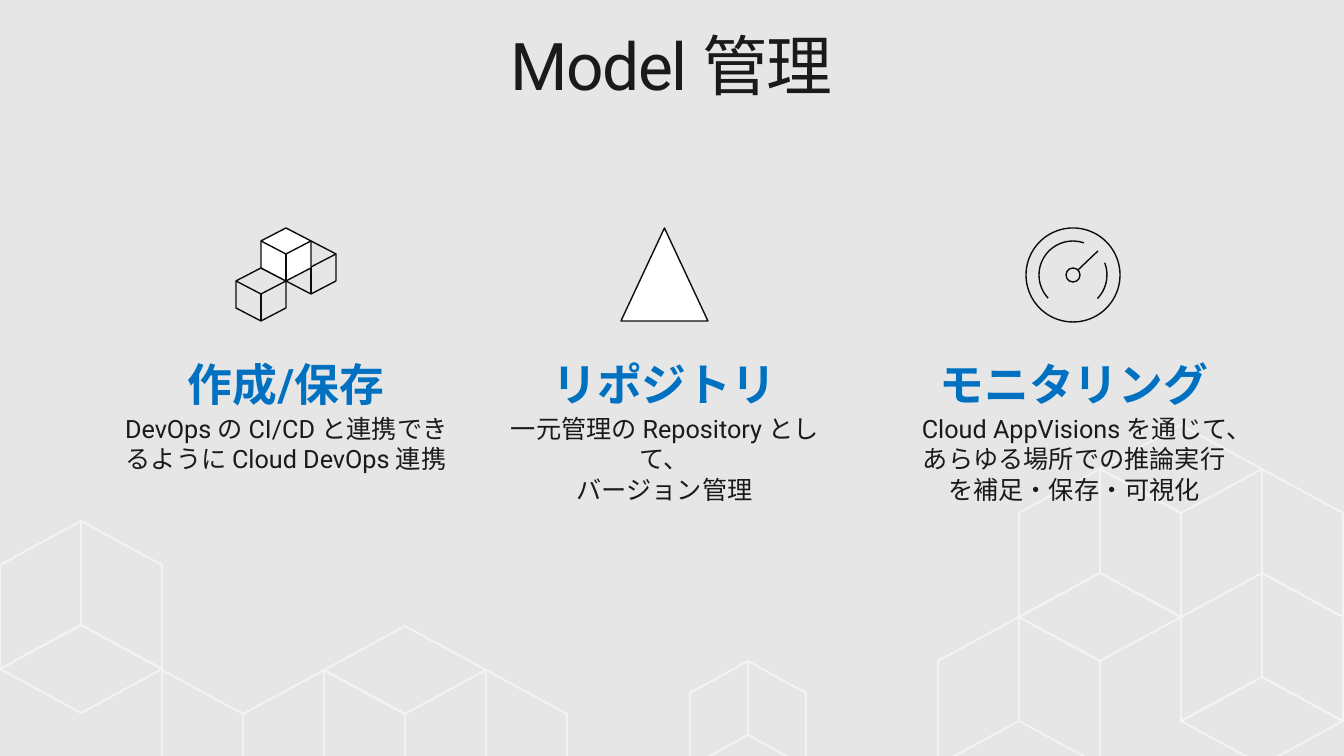
"""Build the model management slide with three features over a cube lattice."""
from pptx import Presentation
from pptx.dml.color import RGBColor
from pptx.enum.shapes import MSO_CONNECTOR, MSO_SHAPE
from pptx.enum.text import MSO_ANCHOR, MSO_AUTO_SIZE, PP_ALIGN
from pptx.oxml.ns import qn
from pptx.util import Pt
from lxml import etree

PX = 914400 / 100.8
BACKGROUND = RGBColor(0xE6, 0xE6, 0xE6)
LATTICE = RGBColor(0xF3, 0xF3, 0xF3)
INK = RGBColor(0x1A, 0x1A, 0x1A)
ICON = RGBColor(0x0D, 0x0D, 0x0D)
BLUE = RGBColor(0x00, 0x70, 0xC0)
WHITE = RGBColor(0xFF, 0xFF, 0xFF)
STRAIGHT = MSO_CONNECTOR.STRAIGHT
OVAL, ARC, TRIANGLE = MSO_SHAPE.OVAL, MSO_SHAPE.ARC, MSO_SHAPE.ISOSCELES_TRIANGLE
CENTER, MIDDLE = PP_ALIGN.CENTER, MSO_ANCHOR.MIDDLE
NO_FIT, GROW = MSO_AUTO_SIZE.NONE, MSO_AUTO_SIZE.SHAPE_TO_FIT_TEXT


def emu(*lengths):
    """Turn px into EMU."""
    return [round(n * PX) for n in lengths]


def outline(sp, color=ICON, width=1, fill=None):
    """Give a shape or connector its line, fill and no shadow."""
    sp.line.color.rgb = color
    sp.line.width = Pt(width)
    if hasattr(sp, "begin_x"):
        etree.SubElement(sp.line._get_or_add_ln().getparent(), qn("a:effectLst"))
        return
    sp.shadow.inherit = False
    if fill is None:
        sp.fill.background()
    else:
        sp.fill.solid()
        sp.fill.fore_color.rgb = fill


prs = Presentation()
prs.slide_width, prs.slide_height = emu(1344, 756)
s = prs.slides.add_slide(prs.slide_layouts[5])
s.background.fill.solid()
s.background.fill.fore_color.rgb = BACKGROUND

LARGE, SMALL = (81, 44, 104), (58, 32, 74)
faces = [
    ("left", LARGE, [(1019, 617), (1100, 469), (1262, 573), (324, 670), (81, 521)]),
    ("right", LARGE, [(1019, 617), (1100, 469), (1262, 573), (1262, 469),
                      (162, 670), (81, 521), (324, 670), (486, 670)]),
    ("top", LARGE, [(1100, 573), (1181, 425), (1262, 677), (81, 625), (405, 626)]),
    ("left", SMALL, [(748, 661)]),
    ("right", SMALL, [(748, 661)]),
]
lattice = s.shapes.add_group_shape()
for side, (w, h, edge), apexes in faces:
    corners = {
        "left": [(-w, h), (-w, h + edge), (0, edge)],
        "right": [(w, h), (w, h + edge), (0, edge)],
        "top": [(w, h), (0, 2 * h), (-w, h)],
    }[side]
    for x, y in apexes:
        builder = lattice.shapes.build_freeform(x, y, scale=PX)
        builder.add_line_segments([(x + dx, y + dy) for dx, dy in corners], close=True)
        outline(builder.convert_to_shape(), LATTICE, 1.38)

title = s.shapes.title
title.left, title.top, title.width, title.height = emu(29, 20, 1285, 99)
tf = title.text_frame
tf.text = "Model 管理"
margins = dict(zip(("margin_left", "margin_top", "margin_right", "margin_bottom"),
                   emu(16, 10, 16, 10)))
for name, value in {**margins, "word_wrap": True, "auto_size": NO_FIT,
                    "vertical_anchor": MIDDLE}.items():
    setattr(tf, name, value)
p = tf.paragraphs[0]
p.alignment, p.line_spacing = CENTER, 0.9
r = p.runs[0]
for name, value in {"name": "Roboto", "size": Pt(47), "bold": False}.items():
    setattr(r.font, name, value)
r.font.color.rgb = INK
r.font._element.set("spc", "-100")

HEADING = {"name": "Roboto", "size": Pt(32), "bold": True}
BODY = {"name": "Roboto", "size": Pt(18), "bold": False}
features = [
    (107, 358, 128, "作成/保存", "DevOps の CI/CD と連携できるように Cloud DevOps 連携"),
    (492, 345, 128, "リポジトリ", "一元管理の Repository として、\vバージョン管理"),
    (910, 328, 159, "モニタリング",
     "Cloud AppVisions を通じて、あらゆる場所での推論実行を補足・保存・可視化"),
]
for left, width, height, heading, body in features:
    tf = s.shapes.add_textbox(*emu(left, 352, width, height)).text_frame
    tf.word_wrap, tf.auto_size = True, GROW
    tf.paragraphs[0].space_after = Pt(2)
    tf.add_paragraph()
    for p, text, style, color in zip(tf.paragraphs, (heading, body),
                                     (HEADING, BODY), (BLUE, INK)):
        p.text = text
        p.alignment = CENTER
        for r in p.runs:
            for name, value in style.items():
                setattr(r.font, name, value)
            r.font.color.rgb = color

W, H, EDGE = 25, 13, 27
cubes = s.shapes.add_group_shape()
for x, y, fill in [(311, 241, None), (261, 268, None), (286, 228, WHITE)]:
    builder = cubes.shapes.build_freeform(x, y, scale=PX)
    builder.add_line_segments([
        (x + W, y + H), (x + W, y + H + EDGE), (x, y + 2 * H + EDGE),
        (x - W, y + H + EDGE), (x - W, y + H)], close=True)
    outline(builder.convert_to_shape(), fill=fill)
    for dx, dy in [(-W, -H), (W, -H), (0, EDGE)]:
        center_y = y + 2 * H
        outline(cubes.shapes.add_connector(
            STRAIGHT, *emu(x, center_y, x + dx, center_y + dy)))

outline(s.shapes.add_shape(TRIANGLE, *emu(621, 228, 87, 93)), fill=WHITE)

gauge = s.shapes.add_group_shape()
for radius in (47, 7):
    outline(gauge.shapes.add_shape(
        OVAL, *emu(1073 - radius, 275 - radius, 2 * radius, 2 * radius)))
for start, end in [(137, 289), (339, 44)]:
    sp = gauge.shapes.add_shape(ARC, *emu(1039, 241, 68, 68))
    sp.adjustments[0], sp.adjustments[1] = start * 0.6, end * 0.6
    outline(sp)
outline(gauge.shapes.add_connector(STRAIGHT, *emu(1078, 270, 1098, 251)))

prs.save("out.pptx")
